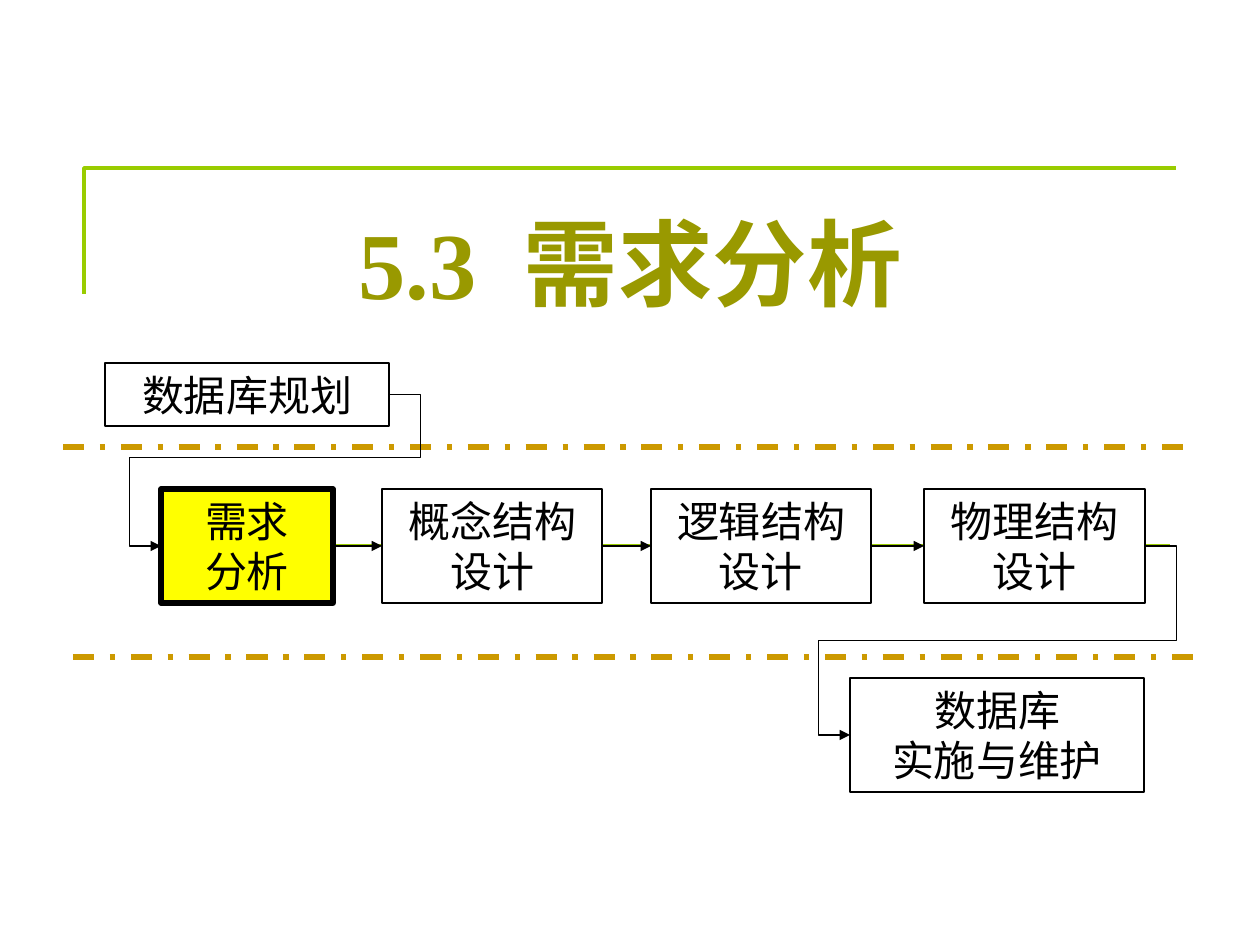
from lxml.etree import SubElement
from pptx import Presentation
from pptx.dml.color import RGBColor
from pptx.enum.dml import MSO_LINE
from pptx.enum.shapes import MSO_CONNECTOR, MSO_SHAPE
from pptx.enum.text import MSO_ANCHOR, MSO_AUTO_SIZE, PP_ALIGN
from pptx.oxml.ns import qn
from pptx.util import Pt

PX = 914400 / 126


def rgb(code):
    return RGBColor.from_string(code)


def write(frame, text, size=24, color="000000", bold=False, anchor=MSO_ANCHOR.MIDDLE):
    frame.word_wrap = True
    frame.auto_size = MSO_AUTO_SIZE.NONE
    frame.vertical_anchor = anchor
    frame.text = text
    for paragraph in frame.paragraphs:
        paragraph.alignment = PP_ALIGN.CENTER
        for run in paragraph.runs:
            run.font.name = "Times New Roman"
            run.font.size = Pt(size)
            run.font.bold = bold
            run.font.color.rgb = rgb(color)


deck = Presentation()
deck.slide_width, deck.slide_height = round(1260 * PX), round(945 * PX)
slide = deck.slides.add_slide(deck.slide_layouts[0])
subtitle = slide.placeholders[1].element
subtitle.getparent().remove(subtitle)

heading = slide.shapes.title
heading.left, heading.top, heading.width, heading.height = [round(v * PX) for v in (94, 168, 1072, 157)]
write(heading.text_frame, "5.3", size=54, color="999900", bold=True, anchor=MSO_ANCHOR.BOTTOM)
number = heading.text_frame.paragraphs[0].runs[0]
for part, spacing in ((" ", 1350), ("需求分析", 0)):
    run = heading.text_frame.paragraphs[0].add_run()
    run.text = part
    run.font.name, run.font.size, run.font.bold = number.font.name, number.font.size, True
    run.font.color.rgb = number.font.color.rgb
    run.font._element.set("spc", str(spacing))

outline = slide.shapes.build_freeform(84, 294, scale=PX)
outline.add_line_segments([(84, 168), (1176, 168)], close=False)
corner = outline.convert_to_shape()
corner.shadow.inherit = False
corner.fill.background()
corner.line.color.rgb = rgb("99CC00")
corner.line.width = Pt(2)

rules = []
for x1, x2, y, color, weight, dash in (
    (273, 1170, 545, "99CC00", 1.5, MSO_LINE.SOLID),
    (63, 1187, 447, "CC9900", 3, MSO_LINE.DASH_DOT),
    (73, 1197, 657, "CC9900", 3, MSO_LINE.DASH_DOT),
):
    ends = [round(v * PX) for v in (x1, y, x2, y)]
    rule = slide.shapes.add_connector(MSO_CONNECTOR.STRAIGHT, *ends)
    rule.line.color.rgb = rgb(color)
    rule.line.width = Pt(weight)
    rule.line.dash_style = dash
    rules.append(rule)

stages = []
for label, left, top, width, height, fill, weight in (
    ("数据库规划", 105, 363, 284, 63, "FFFFFF", 0.75),
    ("需求\n分析", 161, 489, 172, 114, "FFFF00", 3),
    ("概念结构设计", 382, 489, 220, 114, "FFFFFF", 0.75),
    ("逻辑结构设计", 651, 489, 220, 114, "FFFFFF", 0.75),
    ("物理结构设计", 924, 489, 221, 114, "FFFFFF", 0.75),
    ("数据库\n实施与维护", 850, 678, 294, 114, "FFFFFF", 0.75),
):
    bounds = [round(v * PX) for v in (left, top, width, height)]
    stage = slide.shapes.add_shape(MSO_SHAPE.RECTANGLE, *bounds)
    stage.shadow.inherit = False
    stage.fill.solid()
    stage.fill.fore_color.rgb = rgb(fill)
    stage.line.color.rgb = rgb("000000")
    stage.line.width = Pt(weight)
    write(stage.text_frame, label)
    stages.append(stage)

bends = {0: (-13900, 41600, 113900), 4: (-10700, 49900, 110700)}
arrows = []
for step, (source, target) in enumerate(zip(stages, stages[1:])):
    kind = MSO_CONNECTOR.ELBOW if step in bends else MSO_CONNECTOR.STRAIGHT
    arrow = slide.shapes.add_connector(kind, 0, 0, 0, 0)
    arrow.begin_connect(source, 3)
    arrow.end_connect(target, 1)
    arrow.line.color.rgb = rgb("000000")
    arrow.line.width = Pt(0.75)
    SubElement(arrow.line._get_or_add_ln(), qn("a:tailEnd"), type="triangle")
    if step in bends:
        geometry = arrow._element.spPr.find(qn("a:prstGeom"))
        geometry.set("prst", "bentConnector5")
        guides = geometry.find(qn("a:avLst"))
        for index, value in enumerate(bends[step], 1):
            SubElement(guides, qn("a:gd"), name=f"adj{index}", fmla=f"val {value}")
    arrows.append(arrow)

for connector in rules + arrows:
    SubElement(connector._element.spPr, qn("a:effectLst"))

deck.save("out.pptx")
